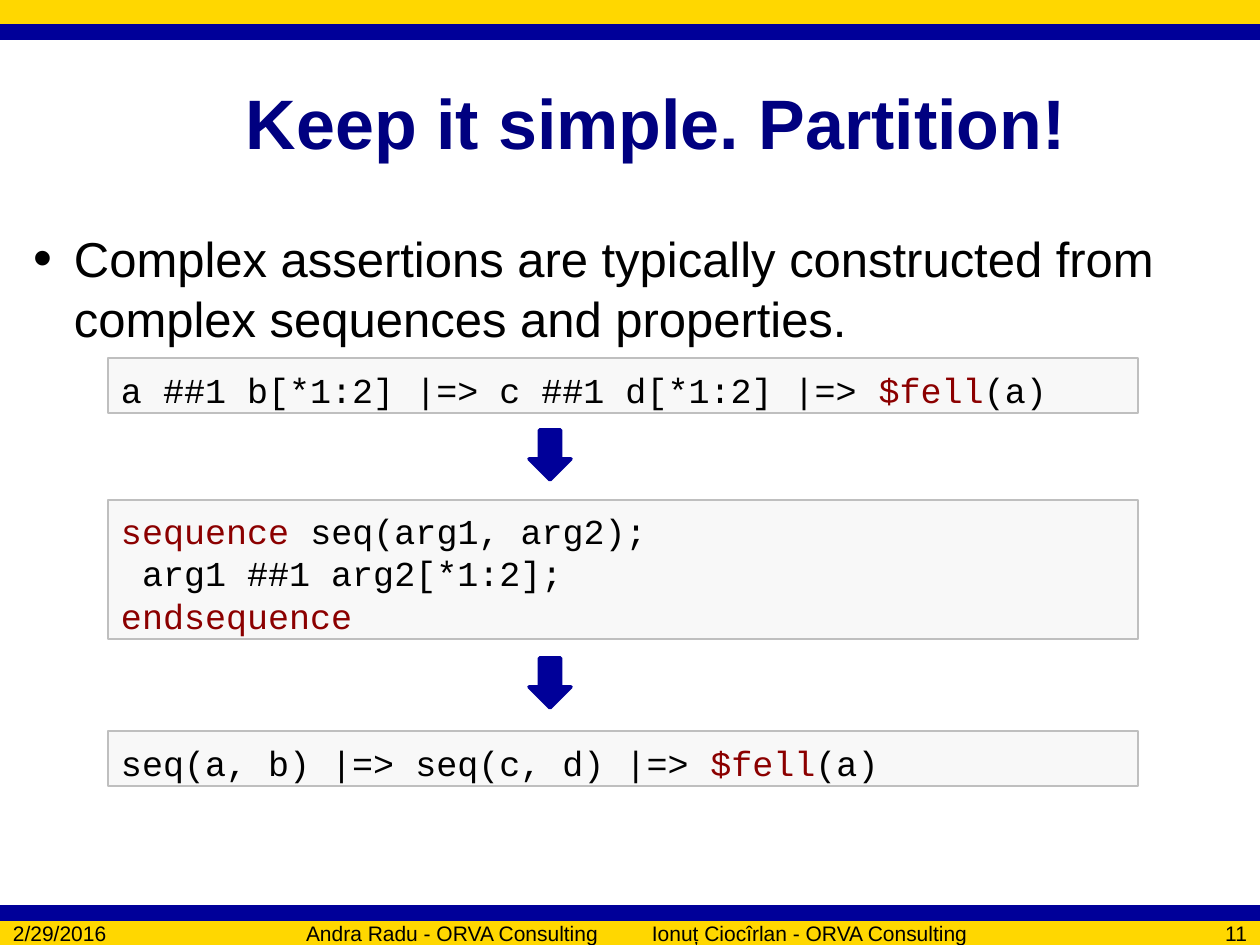
from lxml.etree import SubElement
from pptx import Presentation
from pptx.dml.color import RGBColor
from pptx.enum.shapes import MSO_SHAPE
from pptx.enum.text import MSO_ANCHOR, PP_ALIGN
from pptx.oxml.ns import qn
from pptx.util import Emu, Pt

BLACK = RGBColor(0, 0, 0)
WHITE = RGBColor(255, 255, 255)
GOLD = RGBColor(0xFF, 0xD7, 0x00)
BLUE = RGBColor(0x00, 0x00, 0x99)
NAVY = RGBColor(0x00, 0x00, 0x80)
RED = RGBColor(0x8B, 0x00, 0x00)
PANEL = RGBColor(0xF2, 0xF2, 0xF2)
BORDER = RGBColor(0xBF, 0xBF, 0xBF)

W, H = 1260, 945
TITLE = "Keep it simple. Partition!"
BULLET = ("Complex assertions are typically constructed from "
          "complex sequences and properties.")
# Each block: top, then lines of (text, colour) runs
CODE = [
    (358, [[("a ##1 b[*1:2] |=> c ##1 d[*1:2] |=> ", BLACK), ("$fell", RED), ("(a)", BLACK)]]),
    (500, [[("sequence ", RED), ("seq(arg1, arg2);", BLACK)],
           [(" arg1 ##1 arg2[*1:2];", BLACK)],
           [("endsequence", RED)]]),
    (731, [[("seq(a, b) |=> seq(c, d) |=> ", BLACK), ("$fell", RED), ("(a)", BLACK)]]),
]
CODE_LEFT, CODE_W, CODE_LINE, CODE_PAD = 108, 1030, 42, 13
ARROW_TOPS = [430, 658]
# top, height, colour
BARS = [(0, 24, GOLD), (24, 16, BLUE), (H - 24, 24, GOLD), (H - 40, 16, BLUE)]
# left, width, text, alignment
FOOTER = [
    (13, 200, "2/29/2016", PP_ALIGN.LEFT),
    (306, 320, "Andra Radu - ORVA Consulting", PP_ALIGN.LEFT),
    (652, 340, "Ionuț Ciocîrlan - ORVA Consulting", PP_ALIGN.LEFT),
    (1134, 113, "11", PP_ALIGN.RIGHT),
]


def px(n):
    return Emu(round(n * 914400 / 126))


def add_box(s, kind, box, fill, line=None, width=0.75):
    sp = s.shapes.add_shape(kind, *map(px, box))
    sp.shadow.inherit = False
    sp.fill.solid()
    sp.fill.fore_color.rgb = fill
    if line is None:
        sp.line.fill.background()
    else:
        sp.line.color.rgb = line
        sp.line.width = Pt(width)
    return sp


def set_frame(tf, anchor, left, top, right, bottom):
    formats = dict(word_wrap=True, vertical_anchor=anchor,
                   margin_left=px(left), margin_top=px(top),
                   margin_right=px(right), margin_bottom=px(bottom))
    for name, value in formats.items():
        setattr(tf, name, value)


def add_run(p, text, size, color, font="Arial", bold=False):
    r = p.add_run()
    r.text = text
    for name, value in dict(name=font, size=Pt(size), bold=bold).items():
        setattr(r.font, name, value)
    r.font.color.rgb = color


def add_bullet(p, indent):
    pPr = p._p.get_or_add_pPr()
    pPr.set("marL", str(px(indent)))
    pPr.set("indent", str(-px(indent)))
    color = SubElement(pPr, qn("a:buClr"))
    SubElement(color, qn("a:srgbClr"), val=str(BLACK))
    SubElement(pPr, qn("a:buSzPct"), val="110000")
    SubElement(pPr, qn("a:buFont"), typeface="Arial")
    SubElement(pPr, qn("a:buChar"), char="•")


def add_code(s, top, lines):
    height = CODE_LINE * len(lines) + CODE_PAD
    sp = add_box(s, MSO_SHAPE.RECTANGLE, (CODE_LEFT, top, CODE_W, height), PANEL, BORDER)
    fill_color = sp.fill._xPr.find(qn("a:solidFill"))[0]
    SubElement(fill_color, qn("a:alpha"), val="50000")
    tf = sp.text_frame
    set_frame(tf, MSO_ANCHOR.TOP, 13, 10, 13, 0)
    for i, runs in enumerate(lines):
        p = tf.add_paragraph() if i else tf.paragraphs[0]
        p.alignment = PP_ALIGN.LEFT
        p.line_spacing = Pt(24)
        for text, color in runs:
            add_run(p, text, 20, color, "Courier New")


def main():
    prs = Presentation()
    prs.slide_width, prs.slide_height = px(W), px(H)
    s = prs.slides.add_slide(prs.slide_layouts[5])
    s.background.fill.solid()
    s.background.fill.fore_color.rgb = WHITE

    for top, height, color in BARS:
        add_box(s, MSO_SHAPE.RECTANGLE, (0, top, W, height), color)

    title = s.shapes.title
    title.left, title.top, title.width, title.height = map(px, (233, 43, 1008, 157))
    set_frame(title.text_frame, MSO_ANCHOR.MIDDLE, 13, 6, 13, 6)
    p = title.text_frame.paragraphs[0]
    p.alignment = PP_ALIGN.LEFT
    add_run(p, TITLE, 40, NAVY, bold=True)

    tf = s.shapes.add_textbox(*map(px, (21, 220, 1218, 130))).text_frame
    set_frame(tf, MSO_ANCHOR.TOP, 13, 8, 13, 0)
    p = tf.paragraphs[0]
    p.line_spacing = Pt(34)
    add_bullet(p, 40)
    add_run(p, BULLET, 28, BLACK)

    for top, lines in CODE:
        add_code(s, top, lines)
    for top in ARROW_TOPS:
        add_box(s, MSO_SHAPE.DOWN_ARROW, (529, top, 42, 50), BLUE, BLUE, 2)

    for left, width, text, align in FOOTER:
        tf = s.shapes.add_textbox(*map(px, (left, 923, width, 21))).text_frame
        set_frame(tf, MSO_ANCHOR.MIDDLE, 0, 0, 0, 0)
        p = tf.paragraphs[0]
        p.alignment = align
        add_run(p, text, 12, BLACK)

    prs.save("out.pptx")


if __name__ == "__main__":
    main()
